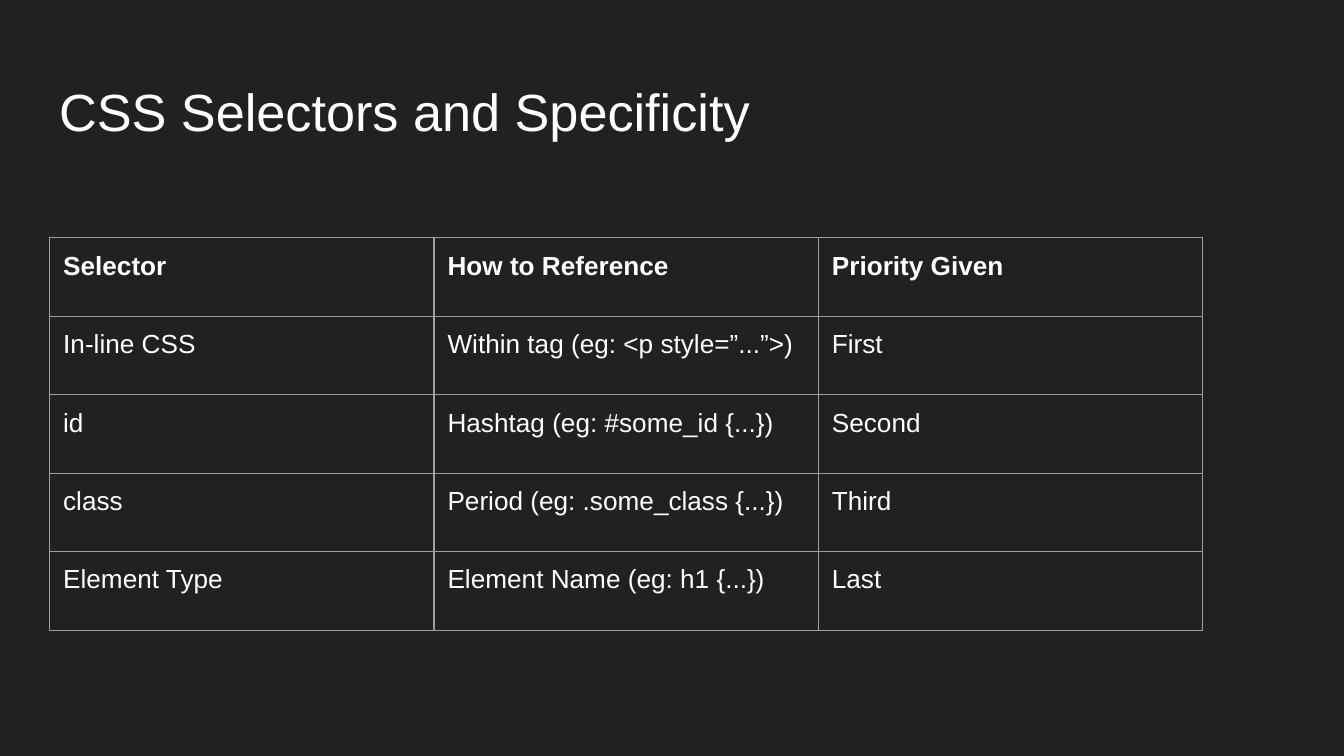
from dataclasses import dataclass

from lxml import etree
from pptx import Presentation
from pptx.dml.color import RGBColor
from pptx.enum.text import MSO_ANCHOR, PP_ALIGN
from pptx.oxml.ns import qn
from pptx.util import Inches, Pt

TOP, LEFT = MSO_ANCHOR.TOP, PP_ALIGN.LEFT
TITLE_ONLY = 5

TITLE = "CSS Selectors and Specificity"
ROWS = [
    ("Selector", "How to Reference", "Priority Given"),
    ("In-line CSS", "Within tag (eg: <p style=”...”>)", "First"),
    ("id", "Hashtag (eg: #some_id {...})", "Second"),
    ("class", "Period (eg: .some_class {...})", "Third"),
    ("Element Type", "Element Name (eg: h1 {...})", "Last"),
]


@dataclass(frozen=True)
class Theme:
    font: str = "Arial"
    background: str = "212121"
    text: str = "FFFFFF"
    border: str = "9E9E9E"
    border_width: float = 0.75
    title_size: int = 28
    cell_size: int = 14
    inset: float = 0.1


THEME = Theme()
SLIDE_WIDTH = 10
SLIDE_HEIGHT = SLIDE_WIDTH * 9 / 16
TITLE_BOX = (0.34, 0.49, 9.32, 0.63)
TABLE_BOX = (0.37, 1.77, 8.58, 2.92)


def write_text(text_frame, text, size, bold=False):
    paragraph = text_frame.paragraphs[0]
    paragraph.alignment = LEFT
    run = paragraph.add_run()
    run.text = text
    run.font.name = THEME.font
    run.font.size = Pt(size)
    run.font.bold = bold
    run.font.color.rgb = RGBColor.from_string(THEME.text)


def set_insets(target):
    """Give a text frame or table cell the same margin on all sides."""
    for side in ("left", "top", "right", "bottom"):
        setattr(target, f"margin_{side}", Inches(THEME.inset))
    target.vertical_anchor = TOP


def add_borders(cell):
    properties = cell._tc.get_or_add_tcPr()
    for side in ("lnL", "lnR", "lnT", "lnB"):
        line = etree.SubElement(
            properties, qn(f"a:{side}"), w=str(Pt(THEME.border_width)))
        fill = etree.SubElement(line, qn("a:solidFill"))
        etree.SubElement(fill, qn("a:srgbClr"), val=THEME.border)


def add_title(slide):
    title = slide.shapes.title
    title.left, title.top, title.width, title.height = map(Inches, TITLE_BOX)
    title.text_frame.word_wrap = True
    set_insets(title.text_frame)
    write_text(title.text_frame, TITLE, THEME.title_size)


def add_selector_table(slide):
    table = slide.shapes.add_table(
        len(ROWS), len(ROWS[0]), *map(Inches, TABLE_BOX)).table
    table.horz_banding = False
    for row_index, row in enumerate(ROWS):
        for column_index, text in enumerate(row):
            cell = table.cell(row_index, column_index)
            set_insets(cell)
            add_borders(cell)
            cell.fill.background()
            write_text(cell.text_frame, text, THEME.cell_size,
                       bold=row_index == 0)


def main():
    presentation = Presentation()
    presentation.slide_width = Inches(SLIDE_WIDTH)
    presentation.slide_height = Inches(SLIDE_HEIGHT)
    slide = presentation.slides.add_slide(
        presentation.slide_layouts[TITLE_ONLY])
    background = slide.background.fill
    background.solid()
    background.fore_color.rgb = RGBColor.from_string(THEME.background)
    add_title(slide)
    add_selector_table(slide)
    presentation.save("out.pptx")


if __name__ == "__main__":
    main()
